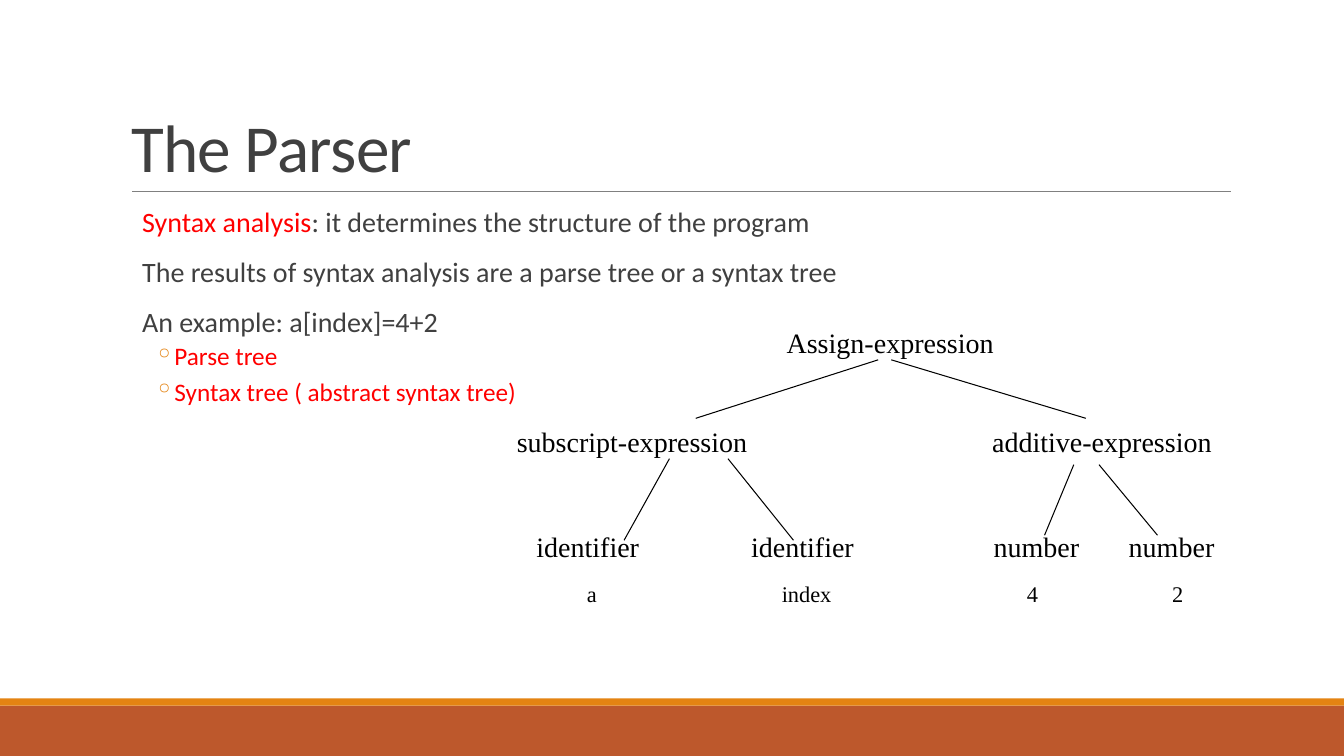
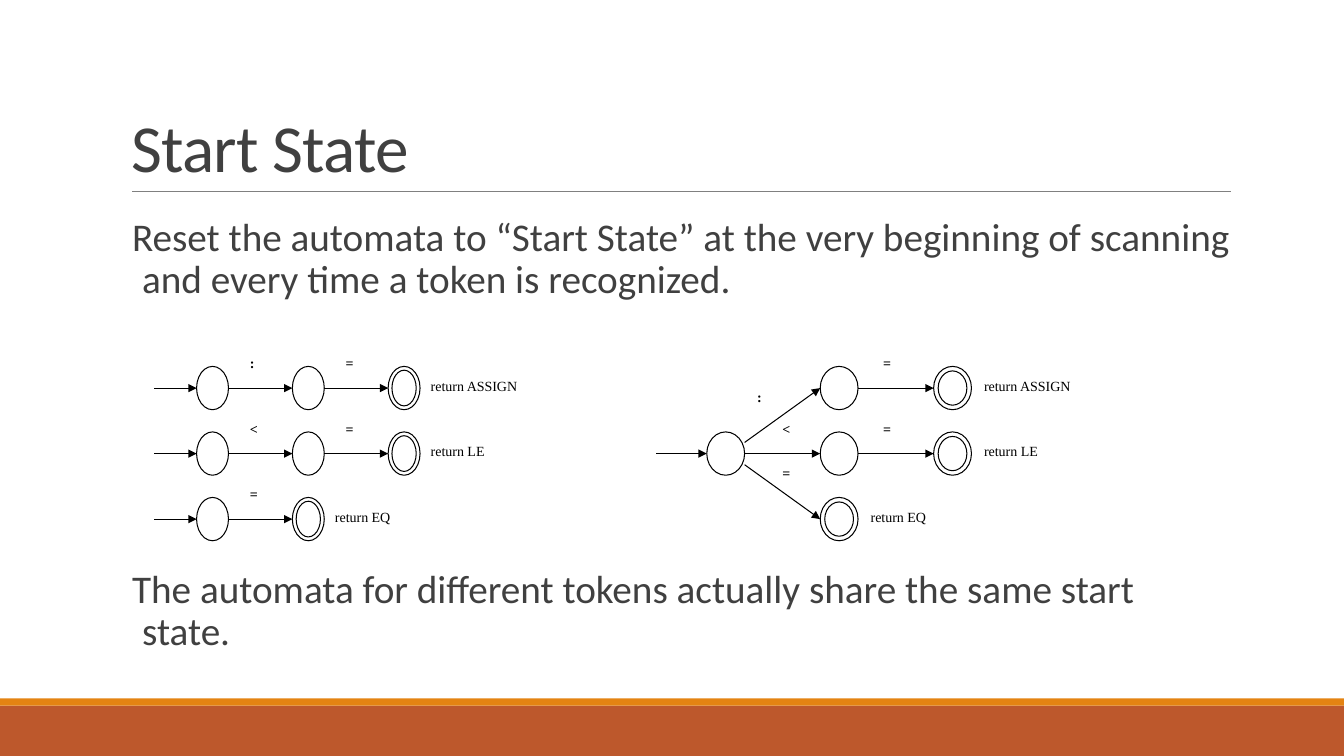
from dataclasses import dataclass

from lxml import etree
from pptx import Presentation
from pptx import util as u
from pptx.dml import color
from pptx.enum import shapes, text
from pptx.oxml import ns

Inches, Pt = u.Inches, u.Pt


@dataclass(frozen=True)
class Theme:
    ink: str = "404040"
    red: str = "FF0000"
    black: str = "000000"
    white: str = "FFFFFF"
    rule: str = "808080"
    orange: str = "E48312"
    rust: str = "BD582C"
    sans: str = "Calibri"
    serif: str = "Times New Roman"
    title_size: int = 48
    large_size: int = 28
    body_size: int = 20
    sub_size: int = 18
    leaf_size: int = 16
    label_size: int = 10
    thin: float = 0.5
    line: float = 0.75


def rgb(value):
    return color.RGBColor.from_string(value)


class Slides:
    def __init__(self, theme):
        self.theme = theme
        self.deck = Presentation()
        self.deck.slide_width = Inches(13.33)
        self.deck.slide_height = Inches(7.5)
        self.page = None

    def font(self, target, size, ink, face, bold=False):
        target.size, target.name, target.bold = Pt(size), face, bold
        target.color.rgb = rgb(ink)

    def new_page(self, heading):
        theme = self.theme
        self.page = self.deck.slides.add_slide(self.deck.slide_layouts[5])
        self.band(7, 0.5, theme.rust)
        self.band(6.93, 0.07, theme.orange)
        self.line((1.31, 1.9), (12.21, 1.9), theme.rule, theme.thin)
        title = self.page.shapes.title
        title.left, title.top = Inches(1.2), Inches(0.31)
        title.width, title.height = Inches(11), Inches(1.59)
        frame = title.text_frame
        frame.auto_size = text.MSO_AUTO_SIZE.NONE
        frame.vertical_anchor = text.MSO_ANCHOR.BOTTOM
        para = frame.paragraphs[0]
        para.alignment = text.PP_ALIGN.LEFT
        para.line_spacing = 0.85
        self.font(para.font, theme.title_size, theme.ink, theme.sans)
        span = para.add_run()
        span.text = heading
        span._r.get_or_add_rPr().set("spc", "-50")

    def shape(self, kind, left, top, width, height, fill, outline=None):
        item = self.page.shapes.add_shape(
            kind, Inches(left), Inches(top), Inches(width), Inches(height))
        item.shadow.inherit = False
        item.fill.solid()
        item.fill.fore_color.rgb = rgb(fill)
        if outline:
            item.line.color.rgb = rgb(outline)
            item.line.width = Pt(self.theme.line)
        else:
            item.line.fill.background()
        return item

    def band(self, top, height, fill):
        self.shape(shapes.MSO_SHAPE.RECTANGLE, 0, top, 13.33, height, fill)

    def line(self, start, end, ink=None, weight=None, arrow=False):
        item = self.page.shapes.add_connector(
            shapes.MSO_CONNECTOR.STRAIGHT, *map(Inches, (*start, *end)))
        item.line.color.rgb = rgb(ink or self.theme.black)
        item.line.width = Pt(weight or self.theme.line)
        properties = item._element.spPr
        etree.SubElement(properties, ns.qn("a:effectLst"))
        if arrow:
            tail = etree.SubElement(properties.find(ns.qn("a:ln")), ns.qn("a:tailEnd"))
            tail.set("type", "triangle")

    def arrow(self, start, end):
        self.line(start, end, arrow=True)

    def frame(self, left, top, width, height, margin=0.0):
        box = self.page.shapes.add_textbox(
            Inches(left), Inches(top), Inches(width), Inches(height))
        frame = box.text_frame
        frame.word_wrap = True
        frame.margin_left = frame.margin_right = 0
        frame.margin_top = frame.margin_bottom = Inches(margin)
        return frame

    def body(self, top, height, size, items, first_indent=0.0):
        theme = self.theme
        frame = self.frame(1.31, top, 10.89, height, 0.05)
        for index, (level, spans) in enumerate(items):
            para = frame.paragraphs[0] if index == 0 else frame.add_paragraph()
            para.line_spacing = 0.9
            para.level = level
            para.space_before = Pt(2 if level else 12)
            para.space_after = Pt(4 if level else 2)
            self.font(para.font, theme.sub_size if level else size, theme.ink, theme.sans)
            for words, ink in spans:
                span = para.add_run()
                span.text = words
                span.font.color.rgb = rgb(ink)
            self.indent(para, level, first_indent)

    def indent(self, para, level, first_indent):
        properties = para._p.get_or_add_pPr()
        margin, hanging = (0.42, -0.2) if level else (0.1, first_indent)
        properties.set("marL", str(Inches(margin)))
        properties.set("indent", str(Inches(hanging)))
        if level:
            tint = etree.Element(ns.qn("a:buClr"))
            etree.SubElement(tint, ns.qn("a:srgbClr")).set("val", self.theme.orange)
            bullet = etree.Element(ns.qn("a:buChar"))
            bullet.set("char", "◦")
            place = list(properties).index(properties.find(ns.qn("a:defRPr")))
            properties.insert(place, bullet)
            properties.insert(place, tint)

    def tree_label(self, words, center, middle, size):
        frame = self.frame(center - 1.5, middle - 0.23, 3, 0.46)
        frame.vertical_anchor = text.MSO_ANCHOR.MIDDLE
        para = frame.paragraphs[0]
        para.text = words
        para.alignment = text.PP_ALIGN.CENTER
        self.font(para.font, size, self.theme.black, self.theme.serif)

    def label(self, words, left, top, width=0.25, bold=True):
        para = self.frame(left, top, width, 0.22).paragraphs[0]
        para.text = words
        self.font(para.font, self.theme.label_size, self.theme.black,
                  self.theme.serif, bold)

    def state(self, left, middle, width, final=False):
        kind = shapes.MSO_SHAPE.DONUT if final else shapes.MSO_SHAPE.OVAL
        item = self.shape(kind, left, middle - 0.215, width, 0.43,
                          self.theme.white, self.theme.black)
        if final:
            item.adjustments[0] = 0.12

    def entry(self, left, middle, width):
        self.arrow((left - width * 4 / 3, middle), (left, middle))
        self.state(left, middle, width)

    def chain(self, left, middle, width, symbols, result):
        for index, symbol in enumerate(symbols, 1):
            right = left + width
            left = right + 2 * width
            self.arrow((right, middle), (left, middle))
            self.label(symbol, right + width * 2 / 3, middle - 0.33)
            self.state(left, middle, width, final=index == len(symbols))
        self.result(left, middle, width, result)

    def result(self, left, middle, width, result):
        self.label(f"return {result}", left + width * 4 / 3, middle - 0.11,
                   1.25, bold=False)


TOKENS = [(3.85, ":=", "ASSIGN"), (4.5, "<=", "LE"), (5.15, "=", "EQ")]


def parser_page(slides):
    theme = slides.theme
    slides.new_page("The Parser")
    slides.body(2.02, 2.2, theme.body_size, [
        (0, [("Syntax analysis", theme.red),
             (": it determines the structure of the program", theme.ink)]),
        (0, [("The results of syntax analysis are a parse tree or a syntax tree", theme.ink)]),
        (0, [("An example: a[index]=4+2", theme.ink)]),
        (1, [("Parse tree", theme.red)]),
        (1, [("Syntax tree ( abstract syntax tree)", theme.red)]),
    ])
    tree_rows = [
        (3.4, theme.body_size, [("Assign-expression", 8.83)]),
        (4.38, theme.body_size,
         [("subscript-expression", 6.27), ("additive-expression", 10.93)]),
        (5.42, theme.body_size,
         [("identifier", 5.83), ("identifier", 7.96), ("number", 10.28), ("number", 11.62)]),
        (5.89, theme.leaf_size, [("a", 5.87), ("index", 8), ("4", 10.24), ("2", 11.68)]),
    ]
    for middle, size, labels in tree_rows:
        for words, center in labels:
            slides.tree_label(words, center, middle, size)
    branches = [
        (3.57, 4.15, [(8.71, 6.9), (8.84, 10.77)]),
        (4.55, 5.36, [(6.64, 6.19), (7.22, 7.87)]),
        (4.61, 5.31, [(10.65, 10.36), (10.9, 11.48)]),
    ]
    for top, bottom, ends in branches:
        for parent, child in ends:
            slides.line((parent, top), (child, bottom))


def separate_automata(slides):
    left, width = 1.95, 0.95 / 3
    for middle, symbols, result in TOKENS:
        slides.entry(left, middle, width)
        slides.chain(left, middle, width, symbols, result)


def shared_automaton(slides):
    left, width, start_middle = 7.01, 0.375, 4.5
    right, branch = left + width, left + 3 * width
    slides.entry(left, start_middle, width)
    first_labels = [(7.51, 3.85), (7.76, 4.17), (7.76, 4.61)]
    for (middle, symbols, result), spot, shift in zip(TOKENS, first_labels, (-0.11, 0, 0.11)):
        slides.arrow((right, start_middle + shift), (branch, middle))
        slides.label(symbols[0], *spot)
        slides.state(branch, middle, width, final=len(symbols) == 1)
        slides.chain(branch, middle, width, symbols[1:], result)


def start_state_page(slides):
    theme = slides.theme
    slides.new_page("Start State")
    paragraphs = [
        (2.11, "Reset the automata to “Start State” at the very beginning of scanning "
               "and every time a token is recognized."),
        (5.6, "The automata for different tokens actually share the same start state."),
    ]
    for top, words in paragraphs:
        slides.body(top, 0.95, theme.large_size, [(0, [(words, theme.ink)])], -0.1)
    separate_automata(slides)
    shared_automaton(slides)


def main():
    slides = Slides(Theme())
    parser_page(slides)
    start_state_page(slides)
    slides.deck.save("out.pptx")


if __name__ == "__main__":
    main()
